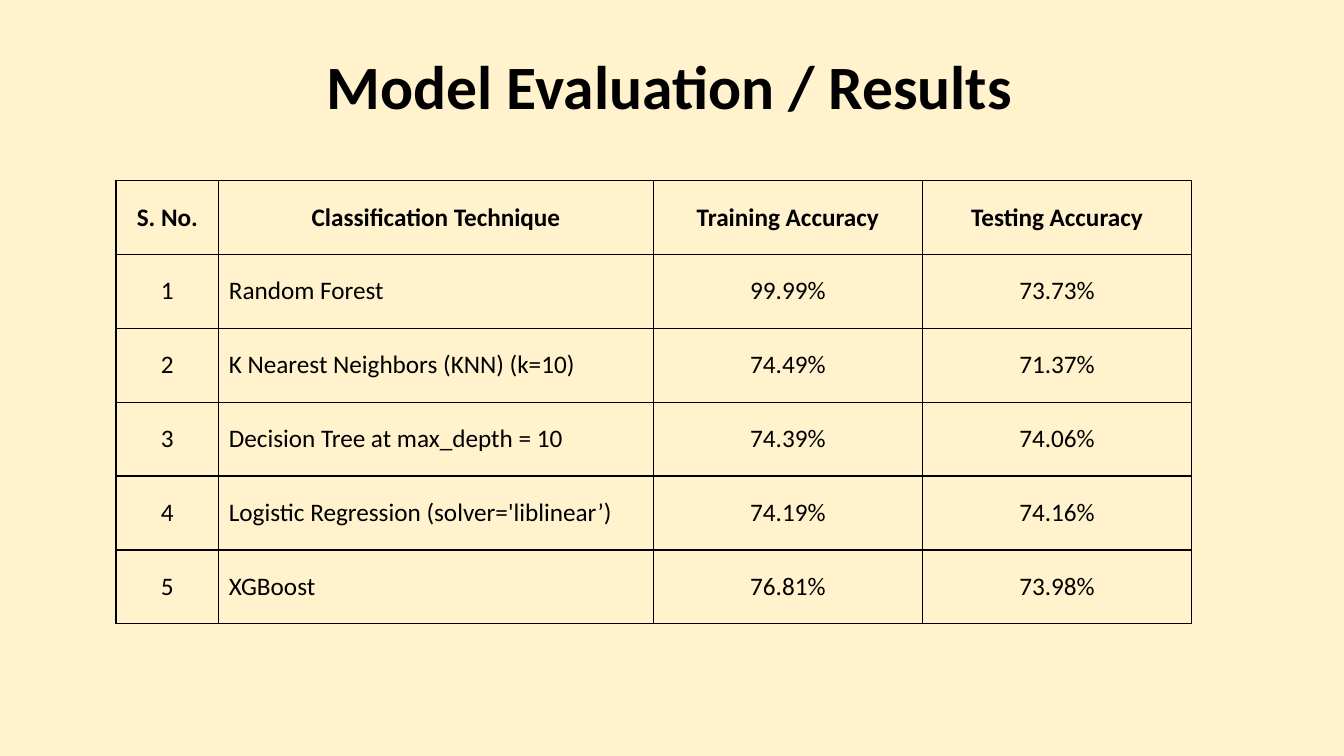
from dataclasses import dataclass

import lxml.etree
import pptx
import pptx.dml.color
import pptx.enum.text
import pptx.oxml.ns
import pptx.util

Inches = pptx.util.Inches
Pt = pptx.util.Pt
RGBColor = pptx.dml.color.RGBColor
PP_ALIGN = pptx.enum.text.PP_ALIGN
MSO_ANCHOR = pptx.enum.text.MSO_ANCHOR
qn = pptx.oxml.ns.qn


@dataclass(frozen=True)
class Theme:
    background: str = "FFF2CC"
    ink: str = "000000"
    font: str = "Calibri"
    title_size: int = 44
    table_size: int = 18
    border_width: int = 1


theme = Theme()


def style_paragraph(paragraph, size, bold, alignment):
    paragraph.alignment = alignment
    paragraph.font.name = theme.font
    paragraph.font.size = Pt(size)
    paragraph.font.bold = bold
    paragraph.font.color.rgb = RGBColor.from_string(theme.ink)


def add_borders(cell):
    """Outline all four sides; borders must come before the fill in the cell XML."""
    properties = cell._tc.get_or_add_tcPr()
    for position, side in enumerate(("a:lnL", "a:lnR", "a:lnT", "a:lnB")):
        line = lxml.etree.Element(qn(side), w=str(Pt(theme.border_width)))
        fill = lxml.etree.SubElement(line, qn("a:solidFill"))
        lxml.etree.SubElement(fill, qn("a:srgbClr"), val=theme.ink)
        properties.insert(position, line)


presentation = pptx.Presentation()
presentation.slide_width = Inches(13.33)
presentation.slide_height = Inches(7.5)
slide = presentation.slides.add_slide(presentation.slide_layouts[6])
slide.background.fill.solid()
slide.background.fill.fore_color.rgb = RGBColor.from_string(theme.background)

# Title
title = slide.shapes.add_textbox(Inches(-0.02), Inches(0.43), Inches(13.33), Inches(0.84))
title.text_frame.word_wrap = True
title.text_frame.auto_size = pptx.enum.text.MSO_AUTO_SIZE.SHAPE_TO_FIT_TEXT
title.text_frame.text = "Model Evaluation / Results"
style_paragraph(title.text_frame.paragraphs[0], theme.title_size, True, PP_ALIGN.CENTER)

# Results table
headers = ("S. No.", "Classification Technique", "Training Accuracy", "Testing Accuracy")
results = (
    ("Random Forest", "99.99%", "73.73%"),
    ("K Nearest Neighbors (KNN) (k=10)", "74.49%", "71.37%"),
    ("Decision Tree at max_depth = 10", "74.39%", "74.06%"),
    ("Logistic Regression (solver='liblinear’)", "74.19%", "74.16%"),
    ("XGBoost", "76.81%", "73.98%"),
)
rows = [headers] + [(str(number), *result) for number, result in enumerate(results, 1)]
column_widths = (1.02, 4.31, 2.67, 2.67)
technique_column = 1

table = slide.shapes.add_table(
    len(rows), len(headers), Inches(1.15), Inches(1.79), Inches(sum(column_widths)), Inches(4.4)
).table
table.horz_banding = False
for column, width in zip(table.columns, column_widths):
    column.width = Inches(width)

for row_index, row in enumerate(rows):
    is_header = row_index == 0
    for column_index, text in enumerate(row):
        cell = table.cell(row_index, column_index)
        cell.text = text
        cell.vertical_anchor = MSO_ANCHOR.MIDDLE
        cell.fill.background()
        add_borders(cell)
        is_left = column_index == technique_column and not is_header
        alignment = PP_ALIGN.LEFT if is_left else PP_ALIGN.CENTER
        style_paragraph(cell.text_frame.paragraphs[0], theme.table_size, is_header, alignment)

presentation.save("out.pptx")
